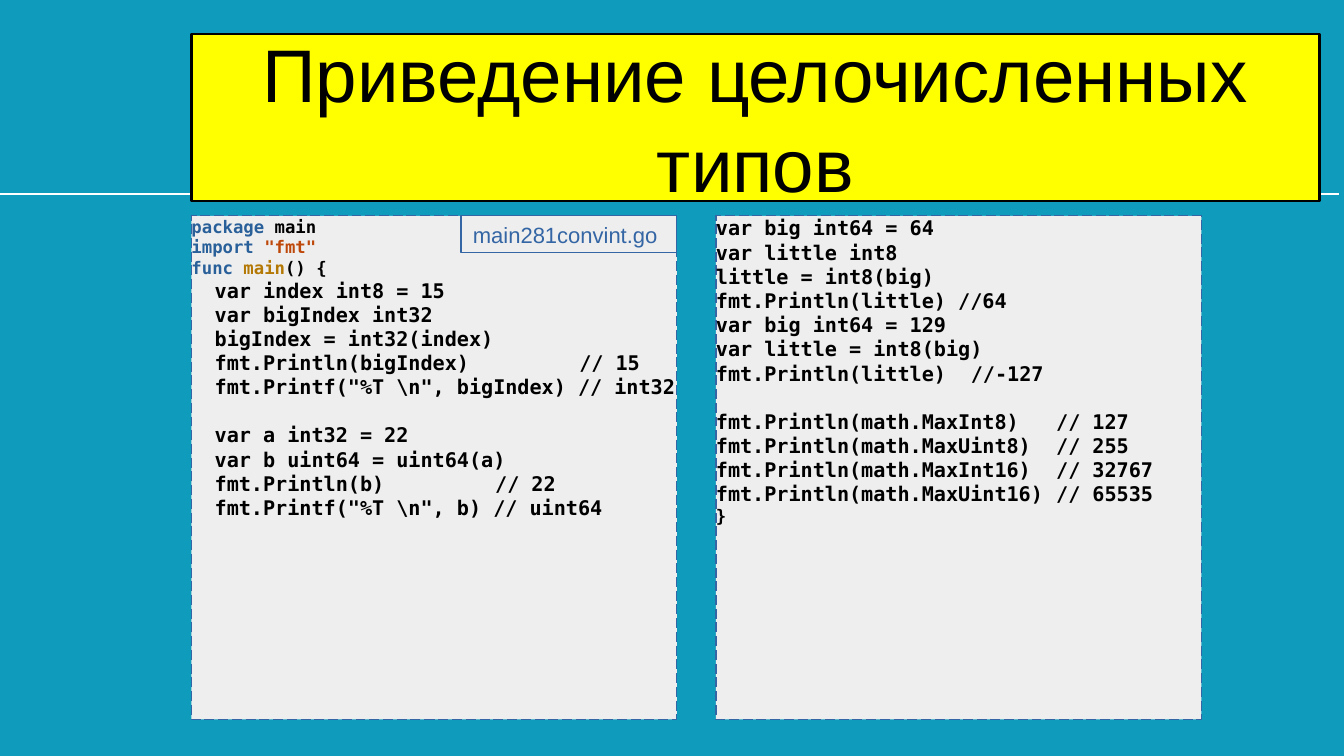
from lxml import etree
from pptx import Presentation
from pptx.dml.color import RGBColor
from pptx.enum.dml import MSO_LINE
from pptx.enum.shapes import MSO_CONNECTOR, MSO_SHAPE
from pptx.enum.text import MSO_ANCHOR, PP_ALIGN
from pptx.oxml.ns import qn
from pptx.util import Inches, Pt

TEAL = RGBColor(0x0F, 0x9B, 0xBC)
WHITE = RGBColor(0xFF, 0xFF, 0xFF)
YELLOW = RGBColor(0xFF, 0xFF, 0x00)
BLACK = RGBColor(0x00, 0x00, 0x00)
GREY = RGBColor(0xEE, 0xEE, 0xEE)
BORDER = RGBColor(0x34, 0x65, 0xA4)
KEYWORD = RGBColor(0x2A, 0x60, 0x99)
STRING = RGBColor(0xBE, 0x48, 0x0A)
FUNCTION = RGBColor(0xB4, 0x78, 0x04)

SMALL, LARGE = 10.2, 11.9
LEFT, PANEL_TOP = 1.57, 1.77
PANEL_WIDTH, PANEL_HEIGHT = 3.98, 4.13
PANEL_STEP = 4.3
LABEL_WIDTH = 1.77


def add_box(left, top, width, height, fill, line, line_width, insets=(0, 0)):
    """Add a left-aligned rectangle and return it; fill may be None."""
    box = slide.shapes.add_shape(MSO_SHAPE.RECTANGLE, Inches(left), Inches(top),
                                 Inches(width), Inches(height))
    box.shadow.inherit = False
    if fill is None:
        box.fill.background()
    else:
        box.fill.solid()
        box.fill.fore_color.rgb = fill
    box.line.color.rgb = line
    box.line.width = Pt(line_width)
    frame = box.text_frame
    frame.word_wrap = True
    frame.vertical_anchor = MSO_ANCHOR.TOP
    frame.margin_left = frame.margin_right = Inches(insets[0])
    frame.margin_top = frame.margin_bottom = Inches(insets[1])
    frame.paragraphs[0].alignment = PP_ALIGN.LEFT
    return box


def add_run(paragraph, text, size, color, font="Arial", bold=False):
    """Append one formatted run to a paragraph."""
    run = paragraph.add_run()
    run.text = text
    run.font.name = font
    run.font.size = Pt(size)
    run.font.bold = bold
    run.font.color.rgb = color


prs = Presentation()
prs.slide_width, prs.slide_height = Inches(11.02), Inches(6.2)
slide = prs.slides.add_slide(prs.slide_layouts[6])
slide.background.fill.solid()
slide.background.fill.fore_color.rgb = TEAL

rule = slide.shapes.add_connector(MSO_CONNECTOR.STRAIGHT, Inches(0), Inches(1.59),
                                  Inches(10.98), Inches(1.59))
rule.line.color.rgb = WHITE
rule.line.width = Pt(1.5)
etree.SubElement(rule._element.spPr, qn("a:effectLst"))

title = add_box(LEFT, 0.28, 9.25, 1.37, YELLOW, BLACK, 1.5).text_frame
title.vertical_anchor = MSO_ANCHOR.MIDDLE
title.paragraphs[0].alignment = PP_ALIGN.CENTER
add_run(title.paragraphs[0], "Приведение целочисленных типов", 44, BLACK)

# Each line: size, gap above in points, tab stops in inches, coloured pieces
INDENT = 0.19
conversion_code = [
    (SMALL, 0, [], [("package", KEYWORD), (" main", BLACK)]),
    (SMALL, 0, [], [("import ", KEYWORD), ('"fmt"', STRING)]),
    (SMALL, 0, [], [("func ", KEYWORD), ("main", FUNCTION), ("() {", BLACK)]),
]
for gap, stops, text in [
    (0, [], "var index int8 = 15"),
    (0, [], "var bigIndex int32"),
    (0, [], "bigIndex = int32(index)"),
    (0, [3.18], "fmt.Println(bigIndex)\t// 15"),
    (0, [], 'fmt.Printf("%T \\n", bigIndex) // int32'),
    (14, [], "var a int32 = 22"),
    (0, [], "var b uint64 = uint64(a)"),
    (0, [2.49], "fmt.Println(b)\t// 22"),
    (0, [], 'fmt.Printf("%T \\n", b) // uint64'),
]:
    conversion_code.append((LARGE, gap, [INDENT] + stops, [("\t" + text, BLACK)]))

overflow_code = [
    (size, gap, stops, [(text, BLACK)]) for size, gap, stops, text in [
        (LARGE, 0, [], "var big int64 = 64"),
        (LARGE, 0, [], "var little int8"),
        (LARGE, 0, [], "little = int8(big)"),
        (LARGE, 0, [], "fmt.Println(little) //64"),
        (LARGE, 0, [], "var big int64 = 129"),
        (LARGE, 0, [], "var little = int8(big)"),
        (LARGE, 0, [2.09], "fmt.Println(little)\t//-127"),
        (LARGE, 14, [2.79], "fmt.Println(math.MaxInt8)\t// 127"),
        (LARGE, 0, [2.79], "fmt.Println(math.MaxUint8)\t// 255"),
        (LARGE, 0, [2.79], "fmt.Println(math.MaxInt16)\t// 32767"),
        (LARGE, 0, [2.79], "fmt.Println(math.MaxUint16)\t// 65535"),
        (SMALL, 0, [], "}"),
    ]
]

for column, code in enumerate([conversion_code, overflow_code]):
    panel = add_box(LEFT + column * PANEL_STEP, PANEL_TOP, PANEL_WIDTH,
                    PANEL_HEIGHT, GREY, BORDER, 0)
    panel.line.dash_style = MSO_LINE.LONG_DASH
    frame = panel.text_frame
    for number, (size, gap, stops, pieces) in enumerate(code):
        paragraph = frame.add_paragraph() if number else frame.paragraphs[0]
        paragraph.alignment = PP_ALIGN.LEFT
        paragraph.space_before = Pt(gap)
        if stops:
            tab_list = etree.SubElement(paragraph._p.get_or_add_pPr(), qn("a:tabLst"))
            for stop in stops:
                etree.SubElement(tab_list, qn("a:tab"), pos=str(Inches(stop)), algn="l")
        for text, color in pieces:
            add_run(paragraph, text, size, color, "DejaVu Sans Mono", True)

file_label = add_box(LEFT + PANEL_WIDTH - LABEL_WIDTH, PANEL_TOP, LABEL_WIDTH, 0.3,
                     None, BORDER, 0, (0.1, 0.05))
add_run(file_label.text_frame.paragraphs[0], "main281convint.go", 13, BORDER)

prs.save("out.pptx")
